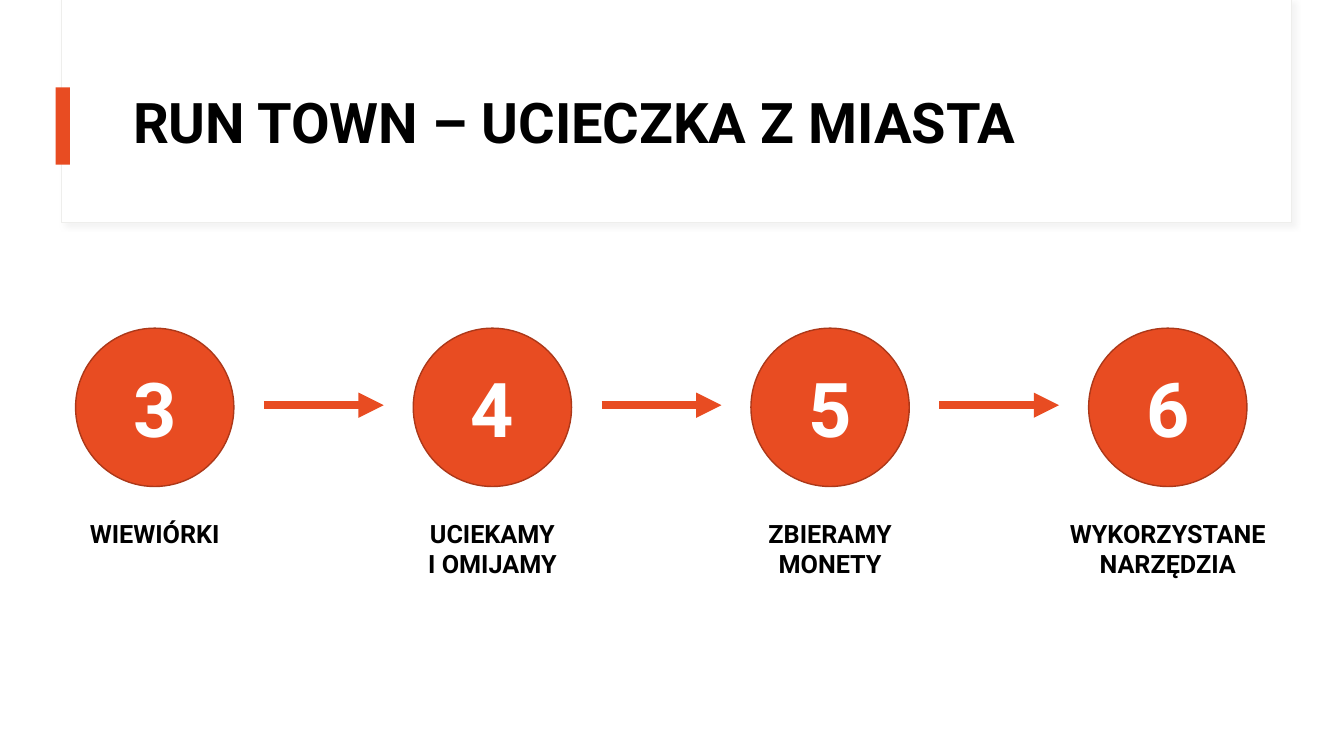
from lxml import etree
from pptx import Presentation
from pptx.dml.color import RGBColor
from pptx.enum.shapes import MSO_CONNECTOR as Connector, MSO_SHAPE as Preset
from pptx.enum.text import MSO_ANCHOR as Anchor, PP_ALIGN as Align
from pptx.oxml import parse_xml
from pptx.oxml.ns import nsdecls, qn
from pptx.util import Cm, Pt

TITLE = "RUN TOWN – UCIECZKA Z MIASTA"
STEPS = [
    ("3", ["WIEWIÓRKI"]),
    ("4", ["UCIEKAMY", "I OMIJAMY"]),
    ("5", ["ZBIERAMY", "MONETY"]),
    ("6", ["WYKORZYSTANE", "NARZĘDZIA"]),
]

FONT = "Roboto"
ORANGE, DARK_ORANGE = "E84C22", "AC3819"
WHITE, BLACK, PALE_GREY = "FFFFFF", "000000", "EEEEEC"

# Centimetres
FIRST_CENTRE, STEP_PITCH = 3.9, 8.51
CIRCLE_TOP, CIRCLE_SIZE = 8.27, 3.99
LABEL_TOP, LABEL_WIDTH, LABEL_LINE = 12.94, 5.94, 0.78
ARROW_Y, ARROW_OFFSET, ARROW_LENGTH = 10.21, 2.75, 3.02

HEADER_SHADOW = f"""<a:effectLst {nsdecls("a")}>
  <a:outerShdw blurRad="50800" dist="38100" dir="2700000" algn="tl" rotWithShape="0">
    <a:srgbClr val="D9D9D9"><a:alpha val="30000"/></a:srgbClr>
  </a:outerShdw>
</a:effectLst>"""


def color(hex_value):
    return RGBColor.from_string(hex_value)


def add_filled(slide, preset, box, fill, line=None, line_width=1):
    """Add a preset shape without shadow; box is left, top, width, height in cm."""
    shape = slide.shapes.add_shape(preset, *map(Cm, box))
    shape.shadow.inherit = False
    shape.fill.solid()
    shape.fill.fore_color.rgb = color(fill)
    if line:
        shape.line.color.rgb = color(line)
        shape.line.width = Pt(line_width)
    else:
        shape.line.fill.background()
    return shape


def write_lines(text_frame, lines, size, text_color, align):
    text_frame.text = "\n".join(lines)
    for paragraph in text_frame.paragraphs:
        paragraph.alignment = align
        font = paragraph.font
        font.name, font.size, font.bold = FONT, Pt(size), True
        font.color.rgb = color(text_color)


def add_header(slide):
    frame = add_filled(slide, Preset.RECTANGLE, (1.56, 0, 31, 5.62), WHITE, PALE_GREY, 0.75)
    properties = frame.element.spPr
    properties.replace(properties.find(qn("a:effectLst")), parse_xml(HEADER_SHADOW))
    add_filled(slide, Preset.RECTANGLE, (1.4, 2.2, 0.36, 1.95), ORANGE)

    title = slide.shapes.title
    title.left, title.top, title.width, title.height = map(Cm, (3.1, 1.52, 28.24, 3.28))
    write_lines(title.text_frame, [TITLE], 40, BLACK, Align.LEFT)
    title.text_frame.vertical_anchor = Anchor.MIDDLE
    title.text_frame.paragraphs[0].line_spacing = 0.9
    # Bring the title in front of the header frame
    slide.shapes.element.append(title.element)


def add_step(slide, centre, number, label_lines):
    circle = add_filled(
        slide, Preset.OVAL,
        (centre - CIRCLE_SIZE / 2, CIRCLE_TOP, CIRCLE_SIZE, CIRCLE_SIZE),
        ORANGE, DARK_ORANGE)
    circle.text_frame.vertical_anchor = Anchor.MIDDLE
    write_lines(circle.text_frame, [number], 54, WHITE, Align.CENTER)

    label = slide.shapes.add_textbox(
        Cm(centre - LABEL_WIDTH / 2), Cm(LABEL_TOP),
        Cm(LABEL_WIDTH), Cm(0.25 + LABEL_LINE * len(label_lines)))
    label.text_frame.word_wrap = True
    write_lines(label.text_frame, label_lines, 18, BLACK, Align.CENTER)


def add_arrow(slide, left):
    arrow = slide.shapes.add_connector(
        Connector.STRAIGHT, Cm(left), Cm(ARROW_Y), Cm(left + ARROW_LENGTH), Cm(ARROW_Y))
    arrow.line.color.rgb = color(ORANGE)
    arrow.line.width = Pt(6)
    etree.SubElement(arrow.line._get_or_add_ln(), qn("a:tailEnd"), type="triangle")
    etree.SubElement(arrow.element.spPr, qn("a:effectLst"))


def main():
    presentation = Presentation()
    presentation.slide_width, presentation.slide_height = Cm(33.87), Cm(19.05)
    slide = presentation.slides.add_slide(presentation.slide_layouts[5])
    add_header(slide)
    centres = [FIRST_CENTRE + STEP_PITCH * index for index in range(len(STEPS))]
    for centre, (number, label_lines) in zip(centres, STEPS):
        add_step(slide, centre, number, label_lines)
    for centre in centres[:-1]:
        add_arrow(slide, centre + ARROW_OFFSET)
    presentation.save("out.pptx")


if __name__ == "__main__":
    main()
